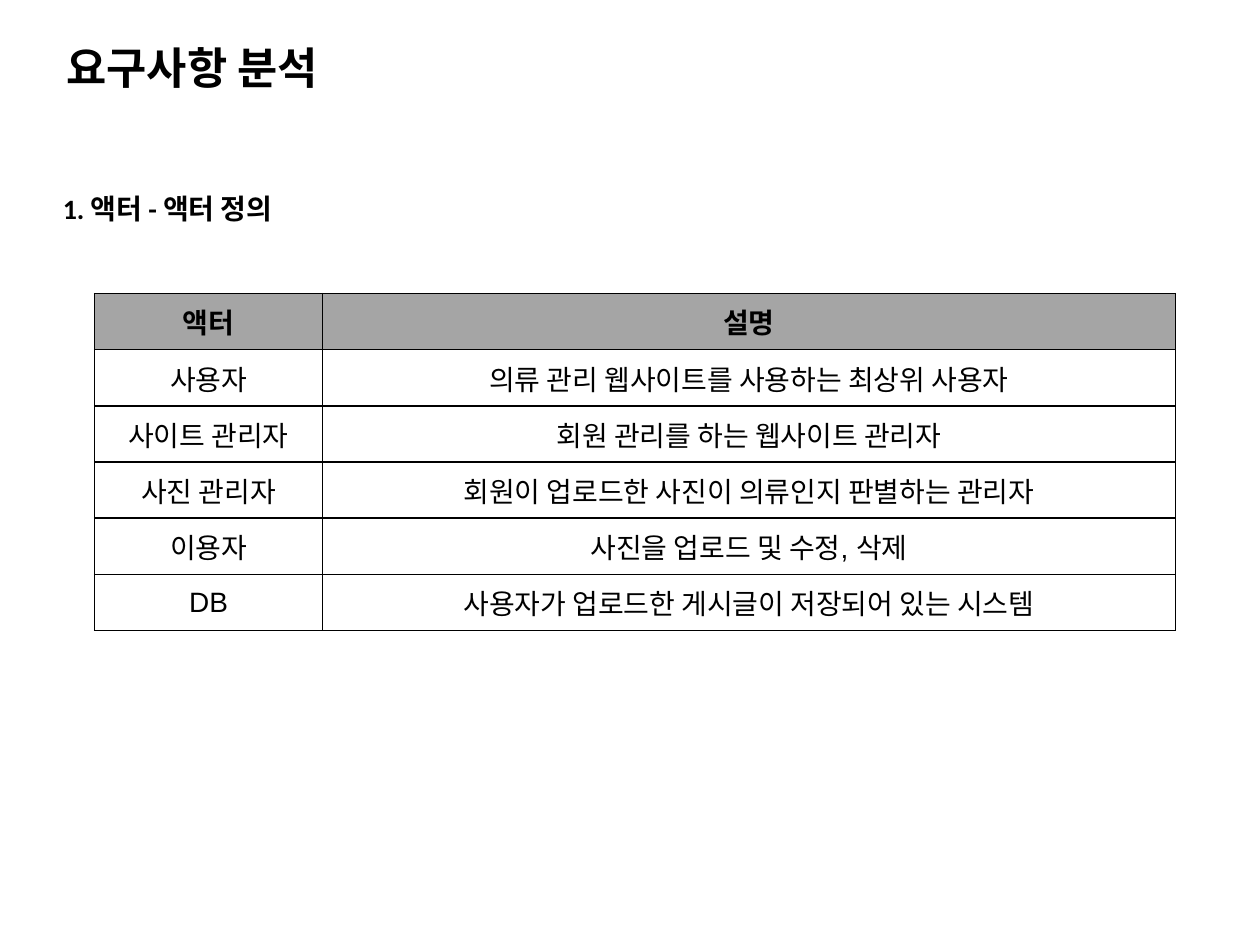
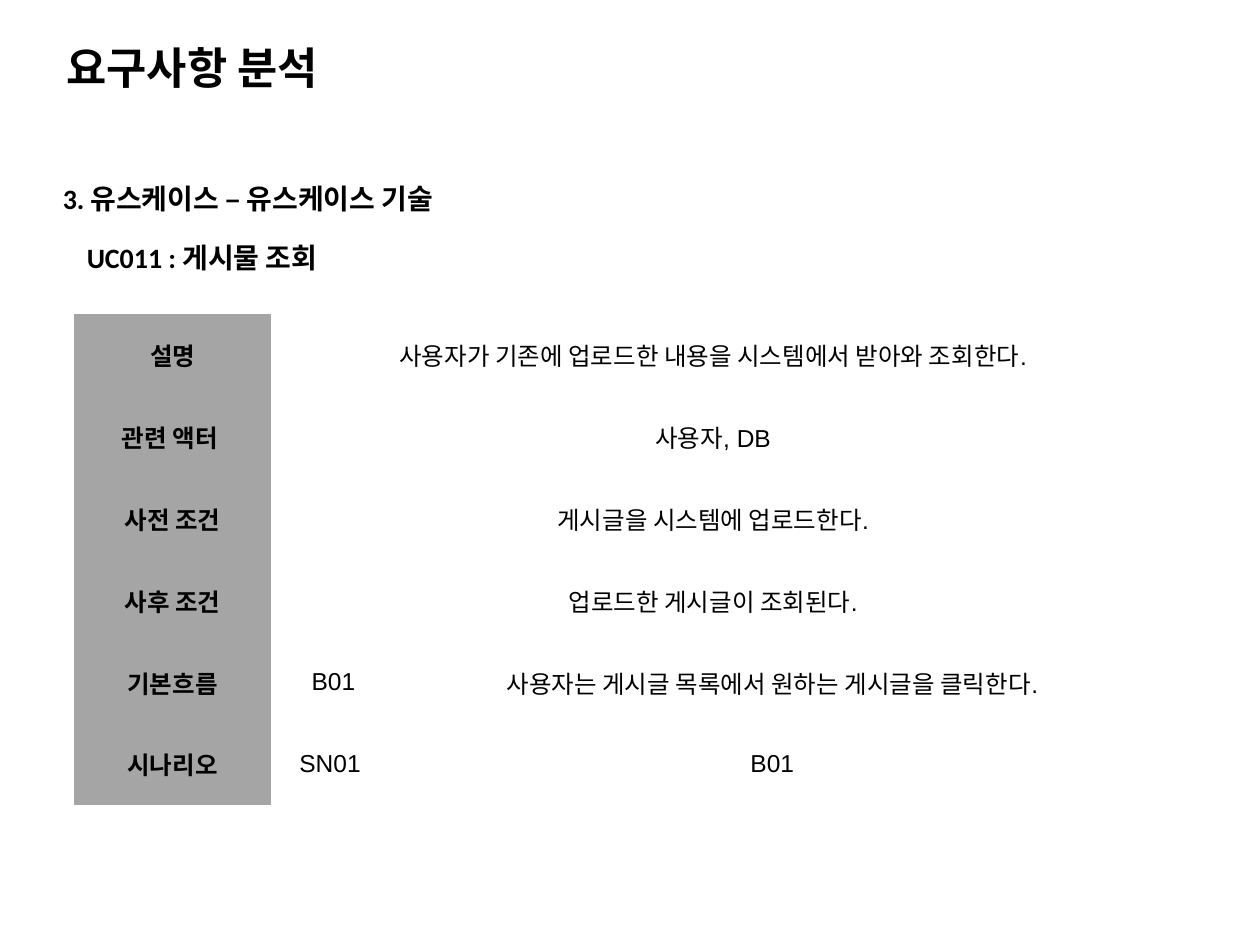
import pptx
import pptx.dml.color
import pptx.enum.text
import pptx.oxml
import pptx.oxml.ns
import pptx.util

Inches = pptx.util.Inches
Pt = pptx.util.Pt
PP_ALIGN = pptx.enum.text.PP_ALIGN
MSO_ANCHOR = pptx.enum.text.MSO_ANCHOR
MSO_AUTO_SIZE = pptx.enum.text.MSO_AUTO_SIZE

COLORS = {"text": "000000", "header": "A5A5A5", "cell": "FFFFFF", "border": "000000"}
HEADING_FONT = "Calibri"
TABLE_FONT = "Arial"
PLAIN_TABLE_STYLE = "{2D5ABB26-0587-4C30-8999-92F81FD0307C}"


def rgb(name):
    return pptx.dml.color.RGBColor.from_string(COLORS[name])


def write(tf, text, *, size=16, font=HEADING_FONT, bold=True, color="text", align=PP_ALIGN.LEFT):
    """Put one formatted paragraph into a text frame."""
    p = tf.paragraphs[0]
    p.alignment = align
    r = p.add_run()
    r.text = text
    r.font.size = Pt(size)
    r.font.name = font
    r.font.bold = bold
    r.font.color.rgb = rgb(color)
    return p


def add_borders(cell, width=1):
    tcPr = cell._tc.get_or_add_tcPr()
    for side in "LRTB":
        tcPr.append(pptx.oxml.parse_xml(
            f'<a:ln{side} {pptx.oxml.ns.nsdecls("a")} w="{Pt(width)}">'
            f'<a:solidFill><a:srgbClr val="{COLORS["border"]}"/></a:solidFill>'
            f'</a:ln{side}>'))


class Deck:
    def __init__(self):
        self.prs = pptx.Presentation()
        self.prs.slide_width = Inches(10)
        self.prs.slide_height = Inches(7.5)
        self.s = None

    def add_slide(self, title):
        self.s = self.prs.slides.add_slide(self.prs.slide_layouts[6])
        self.add_text(title, 0.43, 0.1, 8.74, 0.87, size=25, anchor=MSO_ANCHOR.MIDDLE)

    def add_text(self, text, left, top, width, height, *, anchor=MSO_ANCHOR.TOP, **fmt):
        sp = self.s.shapes.add_textbox(Inches(left), Inches(top), Inches(width), Inches(height))
        tf = sp.text_frame
        tf.word_wrap = True
        tf.vertical_anchor = anchor
        write(tf, text, **fmt)
        return tf

    def add_section(self, text, top):
        tf = self.add_text(text, 0.4, top, 8.76, 0.63)
        pPr = tf.paragraphs[0]._p.get_or_add_pPr()
        pPr.set("marL", str(Inches(0.38)))
        pPr.set("indent", str(-Inches(0.38)))

    def add_table(self, rows, left, top, widths, row_height, is_header, *,
                  size, margins, borders=False):
        """Fill a table; a row shorter than the grid merges its last cell to the right edge."""
        cols = len(widths)
        table = self.s.shapes.add_table(
            len(rows), cols, Inches(left), Inches(top),
            Inches(sum(widths)), Inches(row_height * len(rows))).table
        table._tbl.tblPr.find(pptx.oxml.ns.qn("a:tableStyleId")).text = PLAIN_TABLE_STYLE
        table.first_row = table.horz_banding = False
        for column, width in zip(table.columns, widths):
            column.width = Inches(width)

        for i, texts in enumerate(rows):
            table.rows[i].height = Inches(row_height)
            if len(texts) < cols:
                table.cell(i, len(texts) - 1).merge(table.cell(i, cols - 1))
            for j, text in enumerate(texts):
                cell = table.cell(i, j)
                header = is_header(i, j)
                if borders:
                    add_borders(cell)
                cell.fill.solid()
                cell.fill.fore_color.rgb = rgb("header" if header else "cell")
                cell.vertical_anchor = MSO_ANCHOR.MIDDLE
                cell.margin_left = cell.margin_right = Inches(margins[0])
                cell.margin_top = cell.margin_bottom = Inches(margins[1])
                write(cell.text_frame, text, size=size, font=TABLE_FONT,
                      bold=header, align=PP_ALIGN.CENTER)


def main():
    deck = Deck()
    title = "요구사항 분석"

    # Actor definitions
    deck.add_slide(title)
    deck.add_section("1. 액터 - 액터 정의", 1.47)
    actors = [
        ("액터", "설명"),
        ("사용자", "의류 관리 웹사이트를 사용하는 최상위 사용자"),
        ("사이트 관리자", "회원 관리를 하는 웹사이트 관리자"),
        ("사진 관리자", "회원이 업로드한 사진이 의류인지 판별하는 관리자"),
        ("이용자", "사진을 업로드 및 수정, 삭제"),
        ("DB", "사용자가 업로드한 게시글이 저장되어 있는 시스템"),
    ]
    deck.add_table(actors, 0.75, 2.33, (1.81, 6.77), 0.446, lambda i, j: i == 0,
                   size=16, margins=(0.1, 0.05), borders=True)

    # Use case description
    deck.add_slide(title)
    deck.add_section("3. 유스케이스 – 유스케이스 기술", 1.39)
    tf = deck.add_text("UC011 : 게시물 조회", 0.59, 1.86, 2.52, 0.37)
    tf.auto_size = MSO_AUTO_SIZE.SHAPE_TO_FIT_TEXT
    use_case = [
        ("설명", "사용자가 기존에 업로드한 내용을 시스템에서 받아와 조회한다."),
        ("관련 액터 ", "사용자, DB"),
        ("사전 조건", "게시글을 시스템에 업로드한다."),
        ("사후 조건", "업로드한 게시글이 조회된다."),
        ("기본흐름", " B01", "사용자는 게시글 목록에서 원하는 게시글을 클릭한다."),
        ("시나리오", "SN01", "B01"),
    ]
    deck.add_table(use_case, 0.59, 2.49, (1.56, 0.94, 6.08), 0.65, lambda i, j: j == 0,
                   size=14, margins=(0.07, 0))

    deck.prs.save("out.pptx")


if __name__ == "__main__":
    main()
